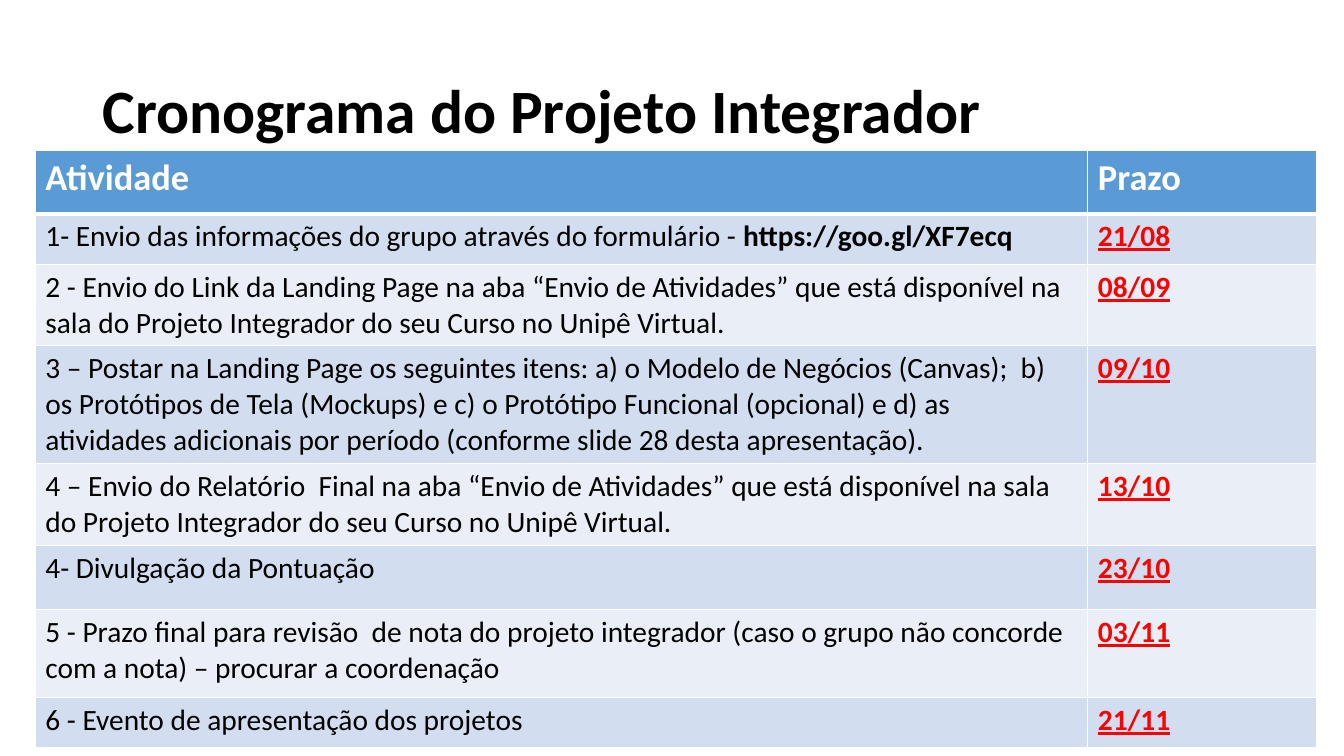
from dataclasses import dataclass

from lxml import etree
from pptx import Presentation
from pptx import util as u
from pptx.dml.color import RGBColor
from pptx.enum import text
from pptx.oxml import ns


@dataclass(frozen=True)
class Theme:
    font: str = "Calibri"
    title_size: int = 44
    header_size: int = 26
    body_size: int = 21
    black: str = "000000"
    white: str = "FFFFFF"
    red: str = "FF0000"
    blue: str = "5B9BD5"
    bands: tuple[str, str] = ("D2DEEF", "EAEFF7")
    thin: float = 1
    thick: float = 3


@dataclass(frozen=True)
class Activity:
    height: float
    description: str
    deadline: str
    link: str = ""


THEME = Theme()
HEADER_HEIGHT = 0.63
COLUMN_WIDTHS = (10.44, 2.27)
ACTIVITIES = (
    Activity(0.5, "1- Envio das informações do grupo através do formulário - ", "21/08",
             "https://goo.gl/XF7ecq"),
    Activity(0.81, "2 - Envio do Link da Landing Page na aba “Envio de Atividades” que está "
             "disponível na sala do Projeto Integrador do seu Curso no Unipê Virtual.", "08/09"),
    Activity(1.17, "3 – Postar na Landing Page os seguintes itens: a) o Modelo de Negócios "
             "(Canvas);  b) os Protótipos de Tela (Mockups) e c) o Protótipo Funcional "
             "(opcional) e d) as atividades adicionais por período (conforme slide 28 desta "
             "apresentação).", "09/10"),
    Activity(0.81, "4 – Envio do Relatório  Final na aba “Envio de Atividades” que está "
             "disponível na sala do Projeto Integrador do seu Curso no Unipê Virtual.", "13/10"),
    Activity(0.64, "4- Divulgação da Pontuação", "23/10"),
    Activity(0.87, "5 - Prazo final para revisão  de nota do projeto integrador (caso o grupo "
             "não concorde com a nota) – procurar a coordenação", "03/11"),
    Activity(0.5, "6 - Evento de apresentação dos projetos", "21/11"),
)


def style_run(run, size: int, color: str, bold: bool = False, underline: bool = False) -> None:
    run.font.name = THEME.font
    run.font.size = u.Pt(size)
    run.font.color.rgb = RGBColor.from_string(color)
    run.font.bold = bold
    run.font.underline = underline


def paint_cell(cell, fill: str, top: float = THEME.thin, bottom: float = THEME.thin) -> None:
    properties = cell._tc.get_or_add_tcPr()
    borders = {"lnL": THEME.thin, "lnR": THEME.thin, "lnT": top, "lnB": bottom}
    for side, width in borders.items():
        line = etree.SubElement(properties, ns.qn(f"a:{side}"), w=str(u.Pt(width)))
        solid = etree.SubElement(line, ns.qn("a:solidFill"))
        etree.SubElement(solid, ns.qn("a:srgbClr"), val=THEME.white)
    cell.fill.solid()
    cell.fill.fore_color.rgb = RGBColor.from_string(fill)


def write_cell(cell, words: str, size: int, color: str, bold: bool = False,
               underline: bool = False) -> None:
    cell.text_frame.text = words
    style_run(cell.text_frame.paragraphs[0].runs[0], size, color, bold, underline)


def add_title(slide, words: str) -> None:
    title = slide.shapes.add_textbox(u.Inches(0.92), u.Inches(0.4), u.Inches(11.5), u.Inches(1.45))
    frame = title.text_frame
    frame.word_wrap = True
    frame.vertical_anchor = text.MSO_ANCHOR.MIDDLE
    frame.text = words
    frame.paragraphs[0].line_spacing = 0.9
    style_run(frame.paragraphs[0].runs[0], THEME.title_size, THEME.black, bold=True)


def add_schedule(slide, activities: tuple[Activity, ...]) -> None:
    heights = (HEADER_HEIGHT, *(activity.height for activity in activities))
    schedule = slide.shapes.add_table(
        len(heights), len(COLUMN_WIDTHS), u.Inches(0.35), u.Inches(1.49),
        u.Inches(sum(COLUMN_WIDTHS)), u.Inches(sum(heights))).table
    schedule.horz_banding = False
    for column, width in zip(schedule.columns, COLUMN_WIDTHS):
        column.width = u.Inches(width)
    for row, height in zip(schedule.rows, heights):
        row.height = u.Inches(height)

    for column, heading in enumerate(("Atividade", "Prazo")):
        cell = schedule.cell(0, column)
        paint_cell(cell, THEME.blue, bottom=THEME.thick)
        write_cell(cell, heading, THEME.header_size, THEME.white, bold=True)

    for index, activity in enumerate(activities):
        description, deadline = schedule.rows[index + 1].cells
        for cell in (description, deadline):
            paint_cell(cell, THEME.bands[index % 2], top=THEME.thin if index else THEME.thick)
        write_cell(description, activity.description, THEME.body_size, THEME.black)
        write_cell(deadline, activity.deadline, THEME.body_size, THEME.red, True, True)
        if activity.link:
            link = description.text_frame.paragraphs[0].add_run()
            link.text = activity.link
            style_run(link, THEME.body_size, THEME.black, bold=True)


def main() -> None:
    presentation = Presentation()
    presentation.slide_width = u.Inches(13.33)
    presentation.slide_height = u.Inches(7.5)
    slide = presentation.slides.add_slide(presentation.slide_layouts[6])
    add_title(slide, "Cronograma do Projeto Integrador")
    add_schedule(slide, ACTIVITIES)
    presentation.save("out.pptx")


if __name__ == "__main__":
    main()
